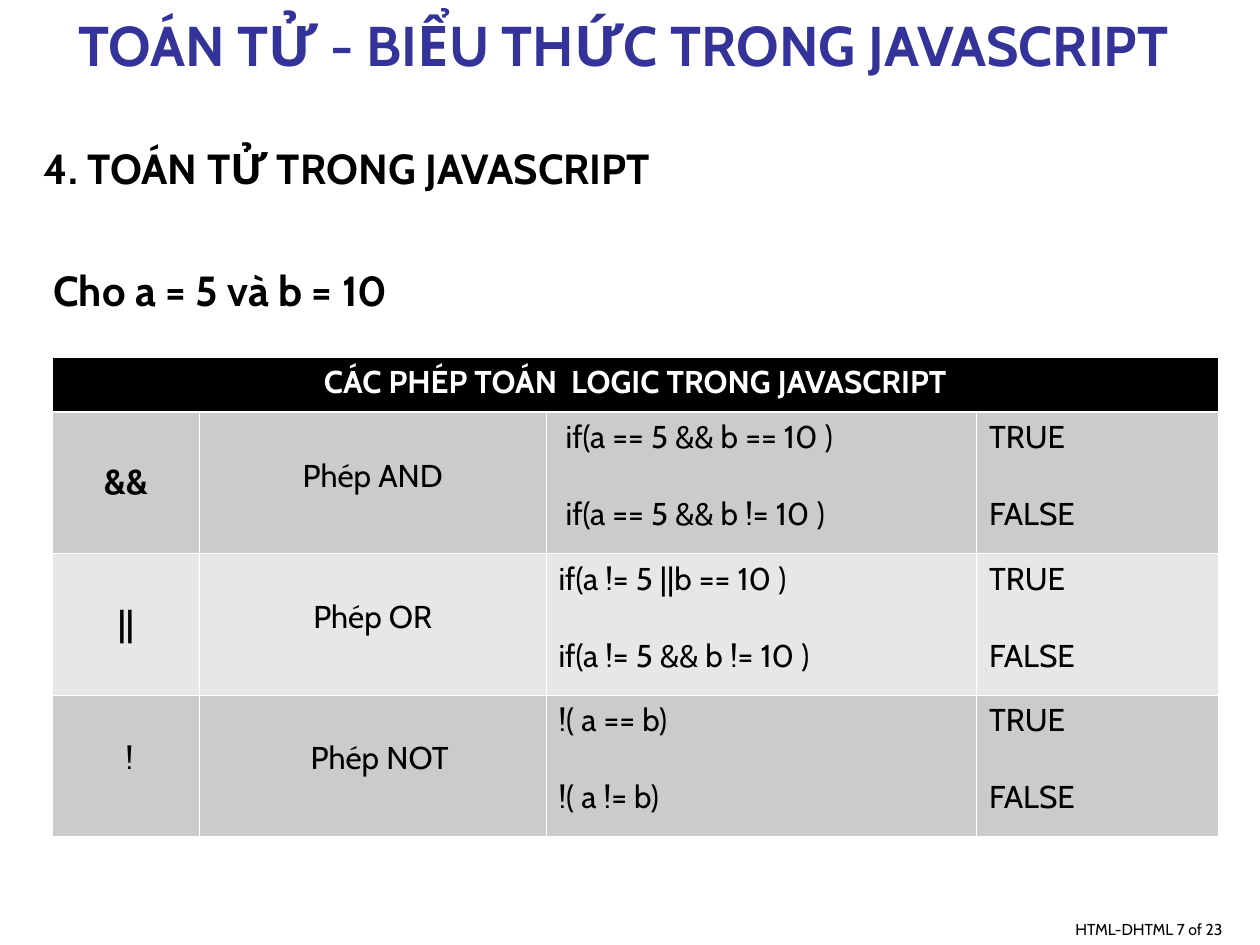
from dataclasses import dataclass
from pptx import Presentation
from pptx.dml.color import RGBColor as Rgb
from pptx.enum.text import MSO_ANCHOR as Anchor, PP_ALIGN as Align
from pptx.oxml import parse_xml
from pptx.oxml.ns import nsdecls
from pptx.util import Pt


@dataclass(frozen=True)
class Theme:
    font: str = "Cabin"
    ink: str = "000000"
    blue: str = "333399"
    white: str = "FFFFFF"
    dark: str = "CBCBCB"
    light: str = "E7E7E7"
    title: int = 32
    head: int = 24
    sign: int = 20
    body: int = 18
    foot: int = 9
    thin: float = 0.45
    thick: float = 1.47


THEME = Theme()
ROWS = [
    ("&&", "Phép AND", (" if(a == 5 && b == 10 )", " if(a == 5 && b != 10 )")),
    ("||", "Phép OR", ("if(a != 5 ||b == 10 )", "if(a != 5 && b != 10 )")),
    (" !", "Phép NOT", ("!( a == b)", "!( a != b)")),
]


def write(frame, *lines, size=THEME.body, color=THEME.ink, bold=False,
          align=Align.LEFT, gap=0):
    frame.word_wrap = True
    for num, line in enumerate(lines):
        para = frame.add_paragraph() if num else frame.paragraphs[0]
        para.alignment = align
        if num:
            para.space_before = Pt(gap)
        run = para.add_run()
        run.text = line
        font = run.font
        font.name, font.size, font.bold = THEME.font, Pt(size), bold
        font.color.rgb = Rgb.from_string(color)


def add_text(slide, box, *lines, anchor=Anchor.TOP, **style):
    frame = slide.shapes.add_textbox(*map(Pt, box)).text_frame
    frame.vertical_anchor = anchor
    write(frame, *lines, **style)


def add_title(slide, box):
    add_text(slide, box, "TOÁN TỬ - BIỂU THỨC TRONG JAVASCRIPT ",
             anchor=Anchor.BOTTOM, size=THEME.title, color=THEME.blue,
             bold=True, align=Align.CENTER)


def add_intro(slide, box):
    add_text(slide, box, "4. TOÁN TỬ TRONG JAVASCRIPT", " Cho a = 5 và b = 10",
             size=THEME.head, bold=True, gap=41)


def add_foot(slide, box):
    add_text(slide, box, "HTML-DHTML 7 of 23", anchor=Anchor.BOTTOM,
             size=THEME.foot, align=Align.RIGHT)


def paint(cell, fill, top, base):
    props = cell._tc.get_or_add_tcPr()
    sides = {"L": THEME.thin, "R": THEME.thin, "T": top, "B": base}
    for side, width in sides.items():
        props.append(parse_xml(
            f'<a:ln{side} {nsdecls("a")} w="{int(Pt(width))}"><a:solidFill>'
            f'<a:srgbClr val="{THEME.white}"/></a:solidFill></a:ln{side}>'))
    cell.fill.solid()
    cell.fill.fore_color.rgb = Rgb.from_string(fill)


def add_logic(slide, box):
    head, widths = 31.5, (84, 198, 246, 138)
    tall = (box[3] - head) / len(ROWS)
    table = slide.shapes.add_table(len(ROWS) + 1, len(widths), *map(Pt, box)).table
    for col, width in zip(table.columns, widths):
        col.width = Pt(width)
    for num, row in enumerate(table.rows):
        row.height = Pt(tall if num else head)
        fill = (THEME.light, THEME.dark)[num % 2] if num else THEME.ink
        for cell in row.cells:
            paint(cell, fill, THEME.thick if num == 1 else THEME.thin,
                  THEME.thin if num else THEME.thick)
    top = table.cell(0, 0)
    top.merge(table.cell(0, len(widths) - 1))
    write(top.text_frame, "CÁC PHÉP TOÁN  LOGIC TRONG JAVASCRIPT",
          color=THEME.white, bold=True, align=Align.CENTER)
    for num, (sign, name, tests) in enumerate(ROWS, 1):
        mark, label, code, value = (table.cell(num, col) for col in range(4))
        last = num == len(ROWS)
        mark.margin_top = Pt(25.5 if last else 28)
        label.margin_top = Pt(25.5)
        if last:
            label.margin_left = Pt(15.2)
        write(mark.text_frame, sign, size=THEME.body if last else THEME.sign,
              bold=not last, align=Align.CENTER)
        write(label.text_frame, name, align=Align.CENTER)
        write(code.text_frame, *tests, gap=22)
        write(value.text_frame, "TRUE", "FALSE", gap=22)


def main():
    deck = Presentation()
    deck.slide_width, deck.slide_height = Pt(720), Pt(540)
    slide = deck.slides.add_slide(deck.slide_layouts[6])
    add_foot(slide, (291.6, 504, 414, 36))
    add_intro(slide, (18, 78, 702, 456))
    add_title(slide, (0, 0, 720, 48))
    add_logic(slide, (30, 204, 666, 273.9))
    deck.save("out.pptx")


if __name__ == "__main__":
    main()
